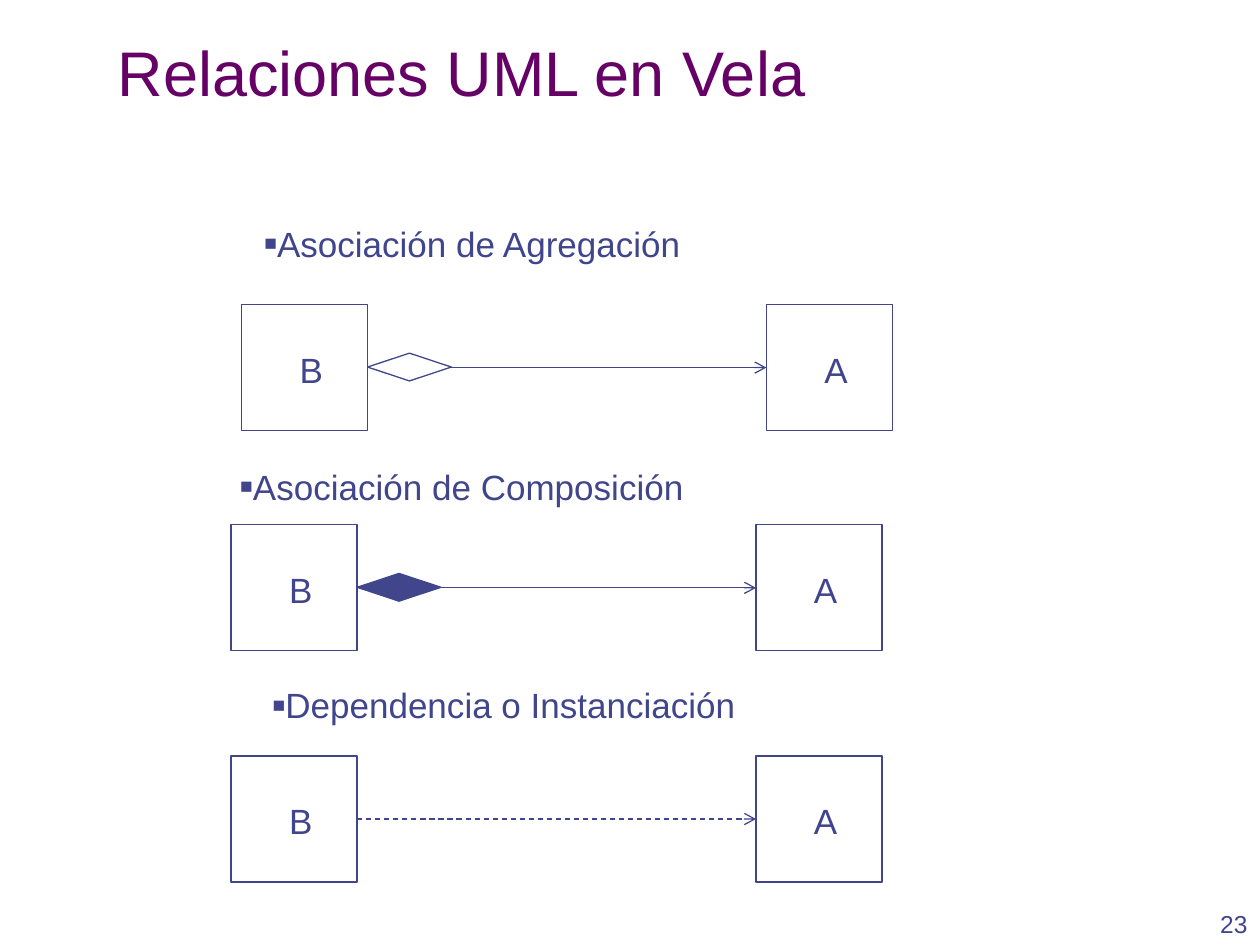
from lxml import etree
from pptx import Presentation, util as u
from pptx.dml.color import RGBColor
from pptx.enum import dml, shapes, text
from pptx.oxml import ns

INK = RGBColor(0x40, 0x45, 0x8C)
PLUM = RGBColor(0x66, 0x00, 0x66)
WHITE = RGBColor(0xFF, 0xFF, 0xFF)
SIDE = 2.54
SPAN = 10.58
LEFT, MID = text.PP_ALIGN.LEFT, text.PP_ALIGN.CENTER
RIGHT = text.PP_ALIGN.RIGHT
TOP, LOW = text.MSO_ANCHOR.TOP, text.MSO_ANCHOR.BOTTOM


def cm(*vals):
    """Turn plain numbers into lengths."""
    return [u.Cm(val) for val in vals]


def node(host, tag, **attrs):
    """Append a drawing element to its host."""
    return etree.SubElement(host, ns.qn(tag), attrs)


def write(shape, words, size, align, anchor=TOP, color=INK, wrap=True):
    """Put one formatted paragraph in a shape and return it."""
    frame = shape.text_frame
    frame.text = words
    frame.word_wrap = wrap
    frame.auto_size = text.MSO_AUTO_SIZE.NONE
    frame.vertical_anchor = anchor
    para = frame.paragraphs[0]
    para.alignment = align
    font = para.runs[0].font
    font.name, font.size = "Arial", u.Pt(size)
    font.color.rgb = color
    return para


def title(slide, words, box):
    """Move and format the title placeholder."""
    head = slide.shapes.title
    head.left, head.top, head.width, head.height = cm(*box)
    write(head, words, 36, LEFT, LOW, PLUM)


def label(slide, words, box):
    """Add a centred heading with a square bullet."""
    area = slide.shapes.add_textbox(*cm(*box))
    para = write(area, words, 20, MID)
    para.level = 1
    para.line_spacing = 0.9
    props = para._p.get_or_add_pPr()
    props.set("marL", str(u.Cm(1.27)))
    props.set("indent", "0")
    tint = node(props, "a:buClr")
    node(tint, "a:srgbClr", val=str(INK))
    node(props, "a:buSzPct", val="60000")
    node(props, "a:buFont", typeface="Arial")
    node(props, "a:buChar", char="■")


def outline(slide, kind, box, fill=None):
    """Add an outlined shape, hollow unless a fill is given."""
    shape = slide.shapes.add_shape(kind, *cm(*box))
    shape.shadow.inherit = False
    shape.line.color.rgb = INK
    shape.line.width = u.Pt(0.75)
    if fill is None:
        shape.fill.background()
    else:
        shape.fill.solid()
        shape.fill.fore_color.rgb = fill


def entity(slide, name, left, top):
    """Draw a class square with its letter."""
    outline(slide, shapes.MSO_SHAPE.RECTANGLE, (left, top, SIDE, SIDE))
    area = slide.shapes.add_textbox(*cm(left + 0.92, top + 0.76, 0.97, 1.12))
    write(area, name, 20, MID, wrap=False)


def arrow(slide, left, right, y, dashed):
    """Draw a level line with an open head at its right end."""
    link = slide.shapes.add_connector(
        shapes.MSO_CONNECTOR.STRAIGHT, *cm(left, y, right, y))
    link.line.color.rgb = INK
    link.line.width = u.Pt(0.75)
    if dashed:
        link.line.dash_style = dml.MSO_LINE.DASH
    node(link.line._get_or_add_ln(), "a:tailEnd", type="arrow")
    node(link._element.spPr, "a:effectLst")


def relation(slide, left, top, fill=None):
    """Link B to A, with a diamond if filled and dashed if not."""
    start, far, y = left + SIDE, left + SPAN, top + SIDE / 2
    arrow(slide, start, far, y, fill is None)
    entity(slide, "B", left, top)
    entity(slide, "A", far, top)
    if fill is not None:
        outline(slide, shapes.MSO_SHAPE.DIAMOND,
                (start, y - 0.29, 1.69, 0.56), fill)


def number(slide, words, box):
    """Add the page number."""
    write(slide.shapes.add_textbox(*cm(*box)), words, 14, RIGHT, LOW)


def main():
    """Build and save the slide."""
    deck = Presentation()
    deck.slide_width, deck.slide_height = cm(25.4, 19.05)
    slide = deck.slides.add_slide(deck.slide_layouts[5])
    title(slide, "Relaciones UML en Vela", (2.12, 0.42, 21.59, 1.91))
    rows = [
        ("Asociación de Agregación", 2.54, 4.45, 4.87, 6.14, WHITE),
        ("Asociación de Composición", 2.33, 9.35, 4.66, 10.58, INK),
        ("Dependencia o Instanciación", 3.18, 13.76, 4.66, 15.24, None),
    ]
    for words, x, y, left, top, fill in rows:
        label(slide, words, (x, y, 12.7, 1.02))
        relation(slide, left, top, fill)
    number(slide, "23", (23.52, 17.78, 1.88, 1.27))
    deck.save("out.pptx")


if __name__ == "__main__":
    main()
